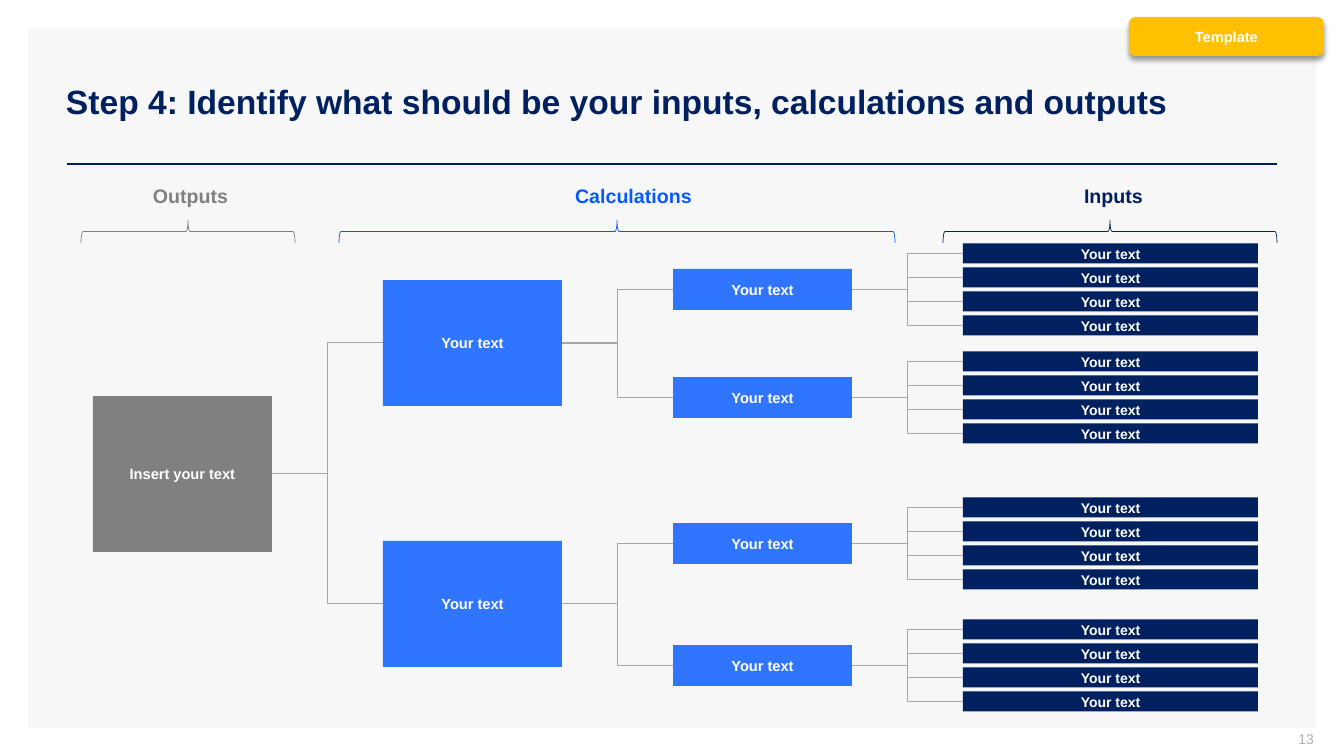
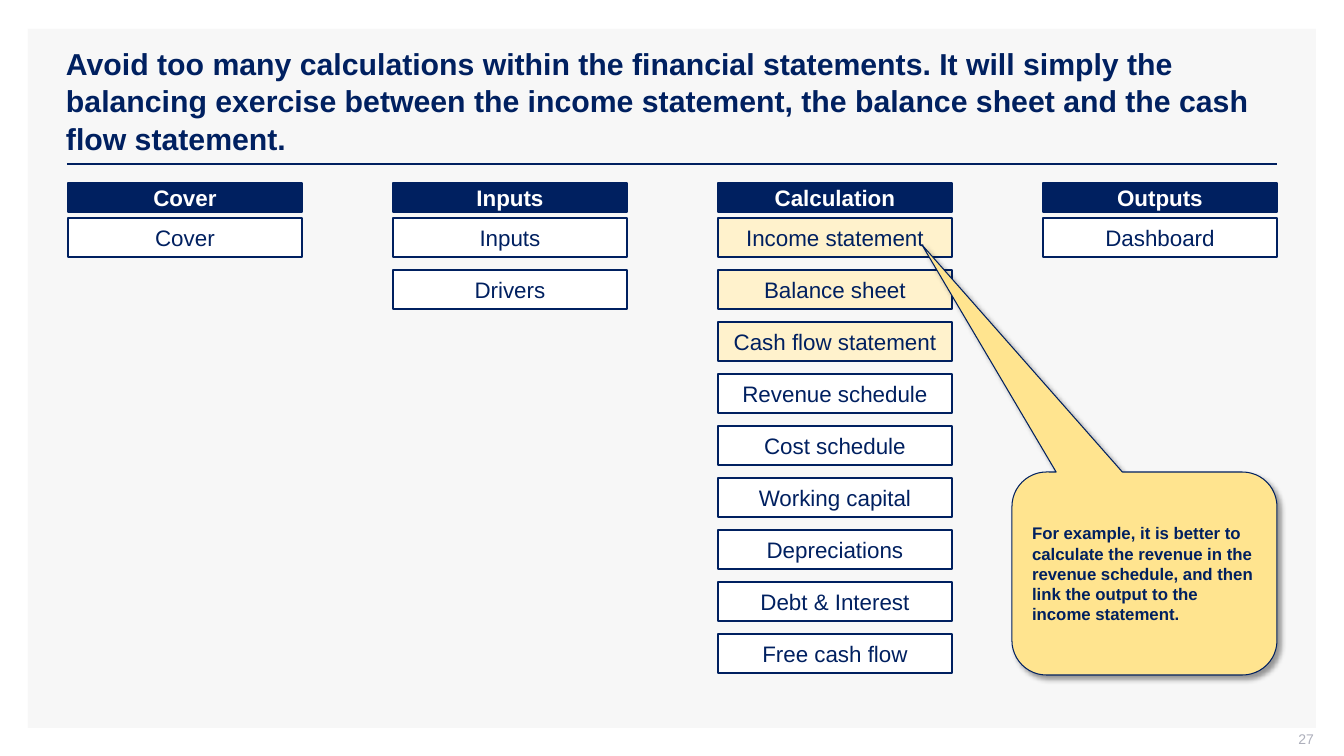
import pptx
import pptx.util
import pptx.dml.color
import pptx.enum.shapes
import pptx.enum.text
import pptx.oxml
import pptx.oxml.ns

SHAPE = pptx.enum.shapes.MSO_SHAPE
CONNECTOR = pptx.enum.shapes.MSO_CONNECTOR
ALIGN = pptx.enum.text.PP_ALIGN
ANCHOR = pptx.enum.text.MSO_ANCHOR

SLIDE_WIDTH, SLIDE_HEIGHT = 1344, 756
EMU_PER_PX = 12192000 / SLIDE_WIDTH
FONT = "Arial"
COLOURS = {
    "white": "FFFFFF", "panel": "F7F7F7", "navy": "002060", "blue": "3075FF",
    "bright_blue": "0759FF", "grey": "808080", "connector": "A6A6A6",
    "page_number": "ADAFBB", "badge": "FFC000", "highlight": "FFF2CC",
    "callout": "FFE48F", "shadow": "000000",
}
LEFT, RIGHT = 67, 1277
TIGHT = (2, 2, 2, 2)


def px(length):
    return pptx.util.Emu(round(length * EMU_PER_PX))


def rgb(name):
    return pptx.dml.color.RGBColor.from_string(COLOURS[name])


# Elements

def write_text(shape, text, size=10.5, colour="navy", bold=False, align=ALIGN.CENTER,
               anchor=ANCHOR.MIDDLE, insets=(10, 5, 10, 5), line_spacing=None):
    frame = shape.text_frame
    frame.word_wrap = True
    frame.auto_size = pptx.enum.text.MSO_AUTO_SIZE.NONE
    frame.vertical_anchor = anchor
    (frame.margin_left, frame.margin_top,
     frame.margin_right, frame.margin_bottom) = map(px, insets)
    paragraph = frame.paragraphs[0]
    paragraph.alignment = align
    paragraph.line_spacing = line_spacing
    run = paragraph.add_run()
    run.text = text
    run.font.name = FONT
    run.font.size = pptx.util.Pt(size)
    run.font.bold = bold
    run.font.color.rgb = rgb(colour)


def add_box(slide, left, top, width, height, fill=None, line=None, line_width=1.5,
            kind=SHAPE.RECTANGLE):
    shape = slide.shapes.add_shape(kind, px(left), px(top), px(width), px(height))
    shape.shadow.inherit = False
    if fill:
        shape.fill.solid()
        shape.fill.fore_color.rgb = rgb(fill)
    else:
        shape.fill.background()
    if line:
        shape.line.color.rgb = rgb(line)
        shape.line.width = pptx.util.Pt(line_width)
    else:
        shape.line.fill.background()
    return shape


def add_label(slide, text, left, top, width, height, **text_format):
    label = slide.shapes.add_textbox(px(left), px(top), px(width), px(height))
    write_text(label, text, **text_format)


def add_line(slide, kind, start, end, colour, width):
    connector = slide.shapes.add_connector(kind, *map(px, start + end))
    connector.line.color.rgb = rgb(colour)
    connector.line.width = pptx.util.Pt(width)
    properties = connector.element.spPr
    properties.append(properties.makeelement(pptx.oxml.ns.qn("a:effectLst"), {}))
    return connector


def join(slide, parent, child):
    connector = add_line(slide, CONNECTOR.ELBOW, (0, 0), (1, 1), "connector", 0.75)
    connector.begin_connect(parent, 3)
    connector.end_connect(child, 1)


def add_brace(slide, left, width, colour):
    depth, top = 23, 220
    offset = (width - depth) / 2
    brace = add_box(slide, left + offset, top - offset, depth, width,
                    line=colour, line_width=0.5, kind=SHAPE.LEFT_BRACE)
    brace.rotation = 90


def add_shadow(shape, direction):
    effects = shape.element.spPr.find(pptx.oxml.ns.qn("a:effectLst"))
    effects.append(pptx.oxml.parse_xml(
        f'<a:outerShdw {pptx.oxml.ns.nsdecls("a")} blurRad="{pptx.util.Pt(4)}" '
        f'dist="{pptx.util.Pt(3)}" dir="{direction * 60000}" algn="ctr" rotWithShape="0">'
        f'<a:srgbClr val="{COLOURS["shadow"]}"><a:alpha val="40000"/></a:srgbClr>'
        '</a:outerShdw>'))


# Shared frame

def add_frame_to_layout(slide):
    """Move the panel and title rule behind everything on the slide's layout."""
    panel = add_box(slide, 28, 29, 1288, 699, fill="panel")
    rule = add_line(slide, CONNECTOR.STRAIGHT, (LEFT, 164), (RIGHT, 164), "navy", 2)
    tree = slide.slide_layout.element.cSld.spTree
    for index, shape in enumerate((panel, rule)):
        shape.element.xpath(".//p:cNvPr")[0].set("id", str(101 + index))
        tree.insert(2 + index, shape.element)


def add_slide(presentation, title, number, title_size=24):
    slide = presentation.slides.add_slide(presentation.slide_layouts[5])
    heading = slide.shapes.title
    heading.left, heading.top = px(56), px(40)
    heading.width, heading.height = px(1221), px(120)
    write_text(heading, title, size=title_size, bold=True, align=ALIGN.LEFT,
               line_spacing=1.04)
    add_label(slide, number, 1012, 731, 302, 21, size=10, colour="page_number",
              align=ALIGN.RIGHT, insets=(10, 0, 0, 5))
    return slide


# Slide content

def build_driver_tree(slide):
    def add_node(text, left, top, width, height, fill, parent=None, size=10.5):
        node = add_box(slide, left, top, width, height, fill=fill)
        write_text(node, text, size=size, colour="white", bold=True, insets=TIGHT)
        if parent:
            join(slide, parent, node)
        return node

    # Section headings: text, left, width, brace left, brace width, colour
    sections = [
        ("Outputs", 86, 209, 81, 214, "grey"),
        ("Calculations", 488, 291, 339, 556, "bright_blue"),
        ("Inputs", 968, 291, 943, 334, "navy"),
    ]
    for text, left, width, brace_left, brace_width, colour in sections:
        add_label(slide, text, left, 179, width, 34, size=14, colour=colour,
                  bold=True, anchor=ANCHOR.TOP)
        add_brace(slide, brace_left, brace_width, colour)

    # Tree: output, calculations with their sub-calculations, inputs
    box_width, sub_height = 179, 41
    bar_count, bar_height, bar_pitch = 4, 20, 24
    group_height = (bar_count - 1) * bar_pitch + bar_height
    output = add_node("Insert your text", 93, 396, box_width, 156, "grey")
    for calculation_top, sub_tops in ((280, (269, 377)), (541, (523, 645))):
        calculation = add_node("Your text", 383, calculation_top, box_width, 126,
                               "blue", output)
        for sub_top in sub_tops:
            sub = add_node("Your text", 673, sub_top, box_width, sub_height,
                           "blue", calculation)
            first_bar = sub_top + (sub_height - group_height) / 2
            for index in range(bar_count):
                add_node("Your text", 963, first_bar + index * bar_pitch, 295,
                         bar_height, "navy", sub, size=10)

    badge = add_box(slide, 1129, 17, 195, 39, fill="badge", kind=SHAPE.ROUNDED_RECTANGLE)
    add_shadow(badge, 90)
    write_text(badge, "Template", colour="white", bold=True)


def build_sheet_map(slide):
    columns = {
        "Cover": ["Cover"],
        "Inputs": ["Inputs", "Drivers"],
        "Calculation": ["Income statement", "Balance sheet", "Cash flow statement",
                        "Revenue schedule", "Cost schedule", "Working capital",
                        "Depreciations", "Debt & Interest", "Free cash flow"],
        "Outputs": ["Dashboard"],
    }
    statements = columns["Calculation"][:3]
    width, column_pitch, row_pitch = 234, 325, 52
    for column, (heading, sheets) in enumerate(columns.items()):
        left = 68 + column * column_pitch
        header = add_box(slide, left, 183, width, 29, fill="navy", line="navy")
        write_text(header, heading, size=16, colour="white", bold=True)
        for row, sheet in enumerate(sheets):
            fill = "highlight" if sheet in statements else "white"
            cell = add_box(slide, left, 218 + row * row_pitch, width, 39,
                           fill=fill, line="navy")
            write_text(cell, sheet, size=16)

    callout = add_box(slide, 1012, 472, 265, 203, fill="callout", line="navy",
                      line_width=0.75, kind=SHAPE.ROUNDED_RECTANGULAR_CALLOUT)
    for index, value in enumerate((-0.84, -1.62, 0.17)):
        callout.adjustments[index] = value
    add_shadow(callout, 45)
    write_text(callout, "For example, it is better to calculate the revenue in the revenue "
               "schedule, and then link the output to the income statement.",
               size=12, bold=True, align=ALIGN.LEFT)


def main():
    presentation = pptx.Presentation()
    presentation.slide_width, presentation.slide_height = px(SLIDE_WIDTH), px(SLIDE_HEIGHT)

    tree_slide = add_slide(
        presentation,
        "Step 4: Identify what should be your inputs, calculations and outputs", "13")
    add_frame_to_layout(tree_slide)
    build_driver_tree(tree_slide)

    map_slide = add_slide(
        presentation,
        "Avoid too many calculations within the financial statements. It will simply the "
        "balancing exercise between the income statement, the balance sheet and the cash "
        "flow statement.", "27", title_size=21.6)
    build_sheet_map(map_slide)

    presentation.save("out.pptx")


if __name__ == "__main__":
    main()
